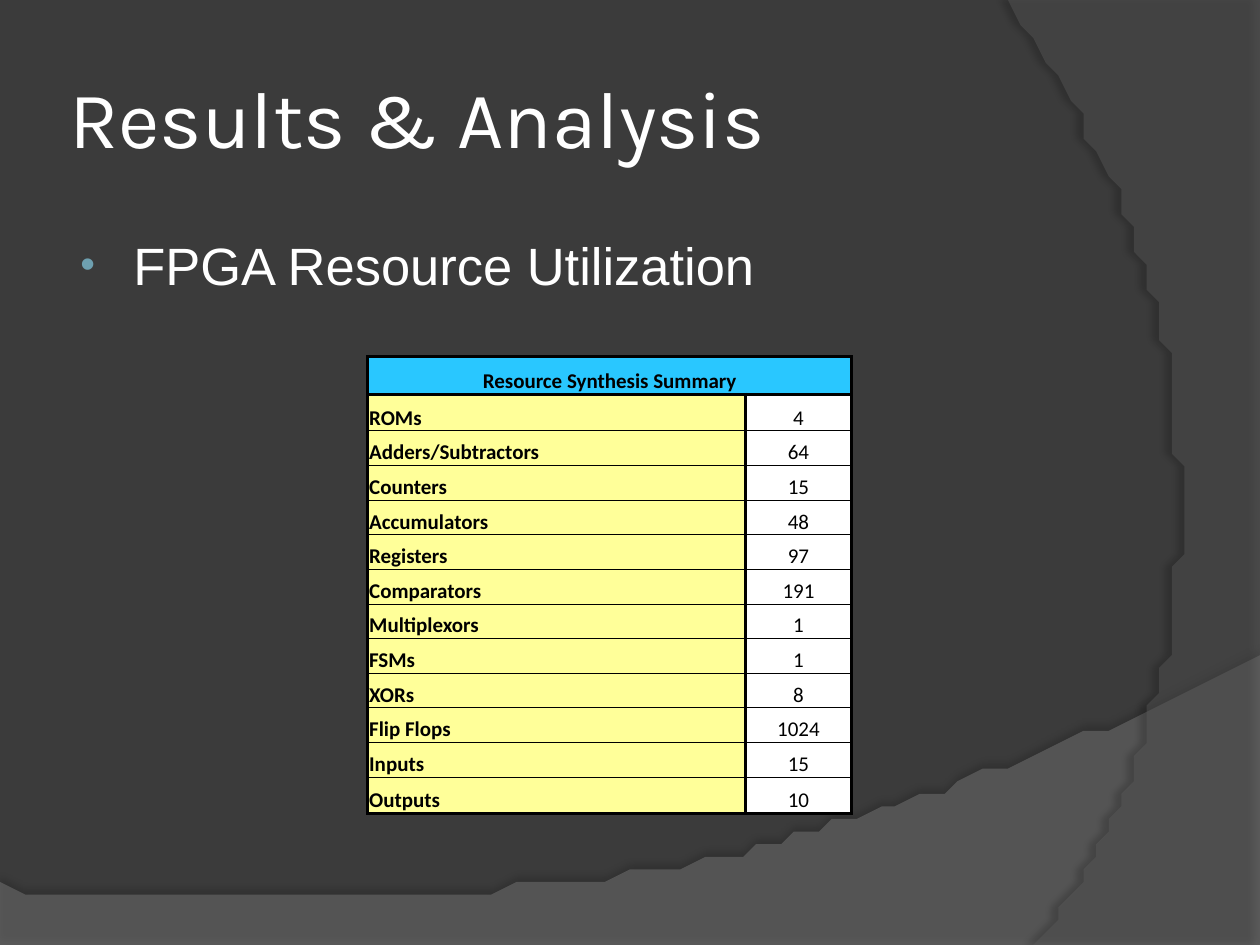
import pptx
import pptx.util
import pptx.dml.color
import pptx.enum.text
import pptx.oxml
import pptx.oxml.ns
from lxml import etree

Pt = pptx.util.Pt
RGB = pptx.dml.color.RGBColor
Align = pptx.enum.text.PP_ALIGN
Anchor = pptx.enum.text.MSO_ANCHOR
qn = pptx.oxml.ns.qn

BACK = RGB(0x3B, 0x3B, 0x3B)
WAVE = RGB(0x7F, 0x7F, 0x7F)
ARC = RGB(0x5E, 0x5E, 0x5E)
WHITE = RGB(0xFF, 0xFF, 0xFF)
BLACK = RGB(0, 0, 0)
BLUE = RGB(0x29, 0xC7, 0xFF)
CREAM = RGB(0xFF, 0xFF, 0x99)
TEAL = RGB(0x6E, 0xA0, 0xB0)

# The slide is a grid of 100 columns by 75 rows of square units.
UNIT = pptx.util.Inches(0.1)
COLS, ROWS = 100, 75
THICK, THIN = 2, 0.5

COUNTS = [
    ("ROMs", 4), ("Adders/Subtractors", 64), ("Counters", 15),
    ("Accumulators", 48), ("Registers", 97), ("Comparators", 191),
    ("Multiplexors", 1), ("FSMs", 1), ("XORs", 8),
    ("Flip Flops", 1024), ("Inputs", 15), ("Outputs", 10),
]


def grid(*units):
    return [round(unit * UNIT) for unit in units]


def add(parent, tag, **attrs):
    node = etree.SubElement(parent, qn(tag))
    for name, value in attrs.items():
        node.set(name, str(value))
    return node


def style(para, name, size, color, bold=False):
    font = para.font
    font.name, font.size, font.bold = name, Pt(size), bold
    font.color.rgb = color


def curve(p0, p1, p2, p3, steps=60):
    """Points along a cubic Bezier curve."""
    points = []
    for step in range(steps + 1):
        t = step / steps
        u = 1 - t
        points.append(tuple(
            u**3 * a + 3 * u * u * t * b + 3 * u * t * t * c + t**3 * d
            for a, b, c, d in zip(p0, p1, p2, p3)))
    return points


def sweep(slide, points, color, alpha, shade, dist, turn):
    """Translucent outline with a soft shadow cast at angle turn."""
    pen = slide.shapes.build_freeform(*points[0], scale=UNIT)
    pen.add_line_segments(points[1:], close=True)
    shape = pen.convert_to_shape()
    shape.fill.solid()
    shape.fill.fore_color.rgb = color
    shape.line.fill.background()
    shape.shadow.inherit = False
    props = shape._element.spPr
    tint = props.find(qn("a:solidFill"))[0]
    add(tint, "a:alpha", val=alpha * 1000)
    cast = add(props.find(qn("a:effectLst")), "a:outerShdw", blurRad=Pt(4),
               dist=Pt(dist), dir=turn * 60000, algn="ctr", rotWithShape=0)
    ink = add(cast, "a:srgbClr", val=BLACK)
    add(ink, "a:alpha", val=shade * 1000)


def backdrop(slide, wide, high):
    slide.background.fill.solid()
    slide.background.fill.fore_color.rgb = BACK
    wave = curve((wide, 52), (55.9, 72.9), (39.1, 71.9), (0, 70.5))
    sweep(slide, [(0, high), (wide, high)] + wave, WAVE, 45, 35, 3.5, 270)
    arc = curve((82.1, high), (93.5, 61.9), (101.8, 30), (80, 0))
    sweep(slide, [(wide, 0.2), (wide, high)] + arc, ARC, 40, 45, 4, 180)


def textbox(slide, box, text, anchor, side):
    frame = slide.shapes.add_textbox(*grid(*box)).text_frame
    frame.word_wrap = True
    frame.vertical_anchor = anchor
    frame.margin_left = frame.margin_right = grid(side)[0]
    para = frame.paragraphs[0]
    para.text = text
    return para


def heading(slide, box):
    para = textbox(slide, box, "Results & Analysis", Anchor.MIDDLE, 0.5)
    style(para, "Karla", 46, WHITE)


def body(slide, box):
    para = textbox(slide, box, "FPGA Resource Utilization", Anchor.TOP, 1)
    props = para._p.get_or_add_pPr()
    left, hang = grid(4.6, -4.2)
    props.set("marL", str(left))
    props.set("indent", str(hang))
    add(add(props, "a:buClr"), "a:srgbClr", val=TEAL)
    add(props, "a:buSzPct", val=80000)
    add(props, "a:buFont", typeface="Arial")
    add(props, "a:buChar", char="•")
    style(para, "Arial", 30, WHITE)


def fill(cell, text, color, top, base, align, bold):
    props = cell._tc.get_or_add_tcPr()
    for side, width in zip("LRTB", (THICK, THICK, top, base)):
        line = add(props, "a:ln" + side, w=Pt(width))
        add(add(line, "a:solidFill"), "a:srgbClr", val=BLACK)
    cell.fill.solid()
    cell.fill.fore_color.rgb = color
    cell.vertical_anchor = Anchor.BOTTOM
    cell.margin_left = cell.margin_right = cell.margin_top = grid(0.1)[0]
    cell.margin_bottom = 0
    para = cell.text_frame.paragraphs[0]
    para.text = text
    para.alignment = align
    style(para, "Calibri", 12, BLACK, bold)


def summary(slide, box):
    wide, high = box[2:]
    last = len(COUNTS)
    table = slide.shapes.add_table(last + 1, 2, *grid(*box)).table
    table.first_row = table.horz_banding = False
    for col, width in zip(table.columns, grid(0.78 * wide, 0.22 * wide)):
        col.width = width
    head, edge = 3, 2.9
    inner = (high - head - 2 * edge) / (last - 2)
    tall = [head, edge] + [inner] * (last - 2) + [edge]
    for row, height in zip(table.rows, grid(*tall)):
        row.height = height

    title, spare = table.cell(0, 0), table.cell(0, 1)
    title.merge(spare)
    for cell, text in ((title, "Resource Synthesis Summary"), (spare, "")):
        fill(cell, text, BLUE, THICK, THICK, Align.CENTER, True)
    for row, (name, count) in enumerate(COUNTS, 1):
        top = THICK if row == 1 else THIN
        base = THICK if row == last else THIN
        fill(table.cell(row, 0), name, CREAM, top, base, Align.LEFT, True)
        fill(table.cell(row, 1), str(count), WHITE, top, base,
             Align.CENTER, False)


def main():
    deck = pptx.Presentation()
    deck.slide_width, deck.slide_height = grid(COLS, ROWS)
    slide = deck.slides.add_slide(deck.slide_layouts[6])
    backdrop(slide, COLS, ROWS)
    heading(slide, (5, 3, 81.7, 12.5))
    body(slide, (5, 18, 81.7, 49))
    summary(slide, (29.2, 28.3, 38.4, 36.3))
    deck.save("out.pptx")


if __name__ == "__main__":
    main()
